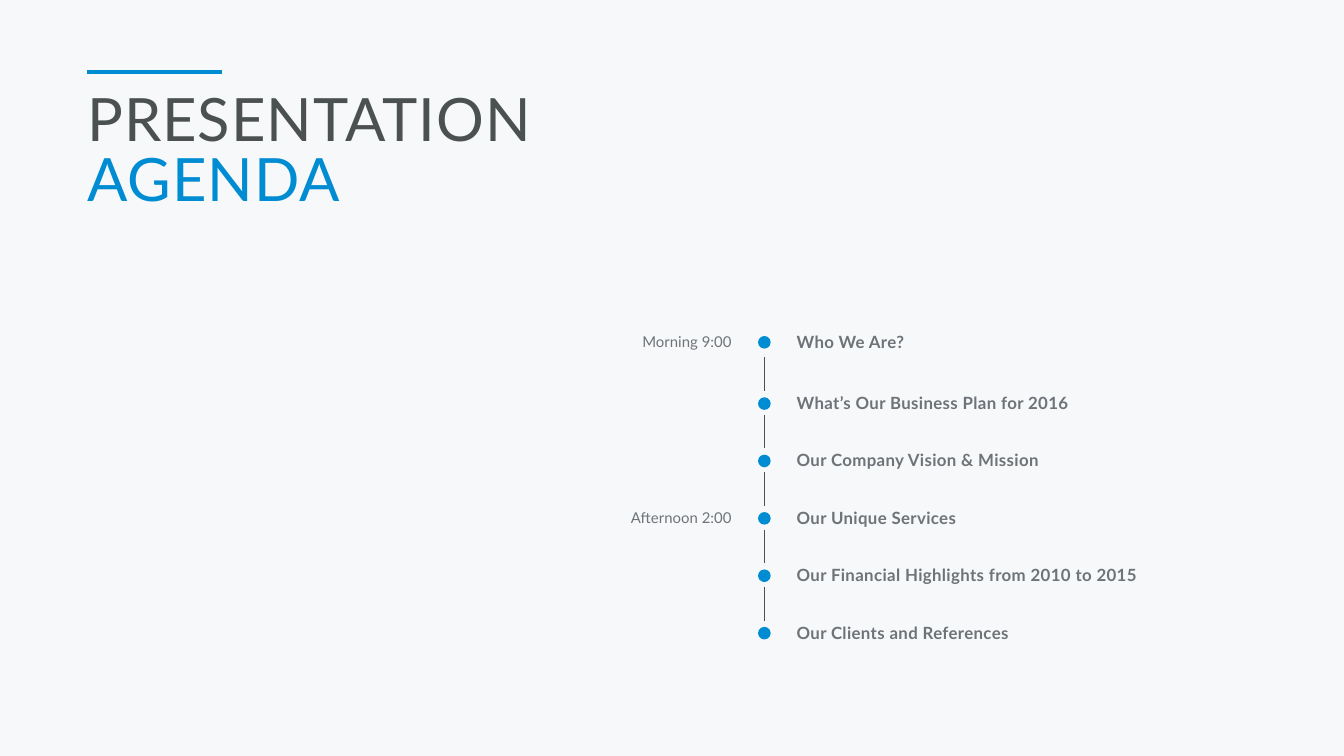
from dataclasses import dataclass

from lxml import etree
from pptx import Presentation, util as u
from pptx.dml.color import RGBColor
from pptx.enum import shapes, text
from pptx.oxml.ns import qn


@dataclass(frozen=True)
class Theme:
    font: str = "Lato"
    back: str = "F6F8FA"
    dark: str = "4B5050"
    blue: str = "008CD2"
    gray: str = "6E7378"
    head: float = 32
    item: float = 9
    time: float = 8


@dataclass(frozen=True)
class Box:
    """Place and size in grid columns and rows."""
    col: float
    row: float
    wide: float
    high: float


@dataclass(frozen=True)
class Style:
    size: float
    color: str
    bold: bool = False
    track: int = 0  # hundredths of a point
    align: text.PP_ALIGN = text.PP_ALIGN.LEFT
    lead: float | None = None


@dataclass(frozen=True)
class Stop:
    title: str
    time: str = ""


T = Theme()
WIDE = u.Inches(10)
HIGH = u.Emu(WIDE * 9 // 16)
COLS = 100  # square grid cells across the slide
HEAD = Style(T.head, T.dark, track=50, lead=T.head)
ACCENT = Style(T.head, T.blue, track=50, lead=T.head)
ITEM = Style(T.item, T.gray, bold=True, track=20)
TIME = Style(T.time, T.gray, align=text.PP_ALIGN.RIGHT)

STOPS = [
    Stop("Who We Are?", "Morning 9:00"),
    Stop("What’s Our Business Plan for 2016"),
    Stop("Our Company Vision & Mission"),
    Stop("Our Unique Services", "Afternoon 2:00"),
    Stop("Our Financial Highlights from 2010 to 2015"),
    Stop("Our Clients and References"),
]

# Timeline measures, in grid cells
EDGE, AXIS = 6.5, 56.87
FIRST, SECOND, STEP = 25.47, 30.03, 4.27
DOT, LINK, GAP = 0.94, 2.5, 0.93


def cell(n: float) -> u.Emu:
    return u.Emu(round(n * WIDE / COLS))


def rgb(color: str) -> RGBColor:
    return RGBColor.from_string(color)


def write(parent, box: Box, lines: list[tuple[str, Style]]) -> None:
    shape = parent.add_textbox(cell(box.col), cell(box.row),
                               cell(box.wide), cell(box.high))
    frame = shape.text_frame
    frame.word_wrap = True
    frame.auto_size = text.MSO_AUTO_SIZE.SHAPE_TO_FIT_TEXT
    frame.margin_left = frame.margin_right = 0
    frame.margin_top = frame.margin_bottom = 0
    for i, (words, style) in enumerate(lines):
        para = frame.add_paragraph() if i else frame.paragraphs[0]
        para.alignment = style.align
        if style.lead:
            para.line_spacing = u.Pt(style.lead)
        run = para.add_run()
        run.text = words
        run.font.name = T.font
        run.font.size = u.Pt(style.size)
        run.font.bold = style.bold
        run.font.color.rgb = rgb(style.color)
        if style.track:
            run._r.get_or_add_rPr().set("spc", str(style.track))


def rule(parent, start: tuple[float, float], end: tuple[float, float],
         color: str, width: float) -> None:
    line = parent.add_connector(shapes.MSO_CONNECTOR.STRAIGHT,
                                *map(cell, start + end))
    line.line.color.rgb = rgb(color)
    line.line.width = u.Pt(width)
    etree.SubElement(line._element.spPr, qn("a:effectLst"))


def dot(parent, col: float, row: float) -> None:
    shape = parent.add_shape(shapes.MSO_SHAPE.OVAL, cell(col - DOT / 2),
                             cell(row - DOT / 2), cell(DOT), cell(DOT))
    shape.shadow.inherit = False
    shape.fill.solid()
    shape.fill.fore_color.rgb = rgb(T.blue)
    shape.line.fill.background()


def agenda(parent, stops: list[Stop]) -> None:
    # The first gap is slightly taller than the others
    rows = [FIRST] + [SECOND + STEP * i for i in range(len(stops) - 1)]
    for stop, row in zip(stops, rows):
        top = row - 0.8
        write(parent, Box(59.27, top, 34.2, 1.5), [(stop.title, ITEM)])
        dot(parent, AXIS, row)
        if stop.time:
            write(parent, Box(44.15, top + 0.05, 10.3, 1.3),
                  [(stop.time, TIME)])
    for row in rows[1:]:
        end = row - GAP
        rule(parent, (AXIS, end - LINK), (AXIS, end), T.dark, 0.75)


def main() -> None:
    deck = Presentation()
    deck.slide_width, deck.slide_height = WIDE, HIGH
    slide = deck.slides.add_slide(deck.slide_layouts[6])
    slide.background.fill.solid()
    slide.background.fill.fore_color.rgb = rgb(T.back)

    # Heading
    write(slide.shapes, Box(EDGE, 7, 87, 9),
          [("PRESENTATION", HEAD), ("AGENDA", ACCENT)])
    rule(slide.shapes, (EDGE, 5.35), (EDGE + 10, 5.35), T.blue, 2.25)

    # Timeline
    agenda(slide.shapes.add_group_shape().shapes, STOPS)

    deck.save("out.pptx")


if __name__ == "__main__":
    main()
